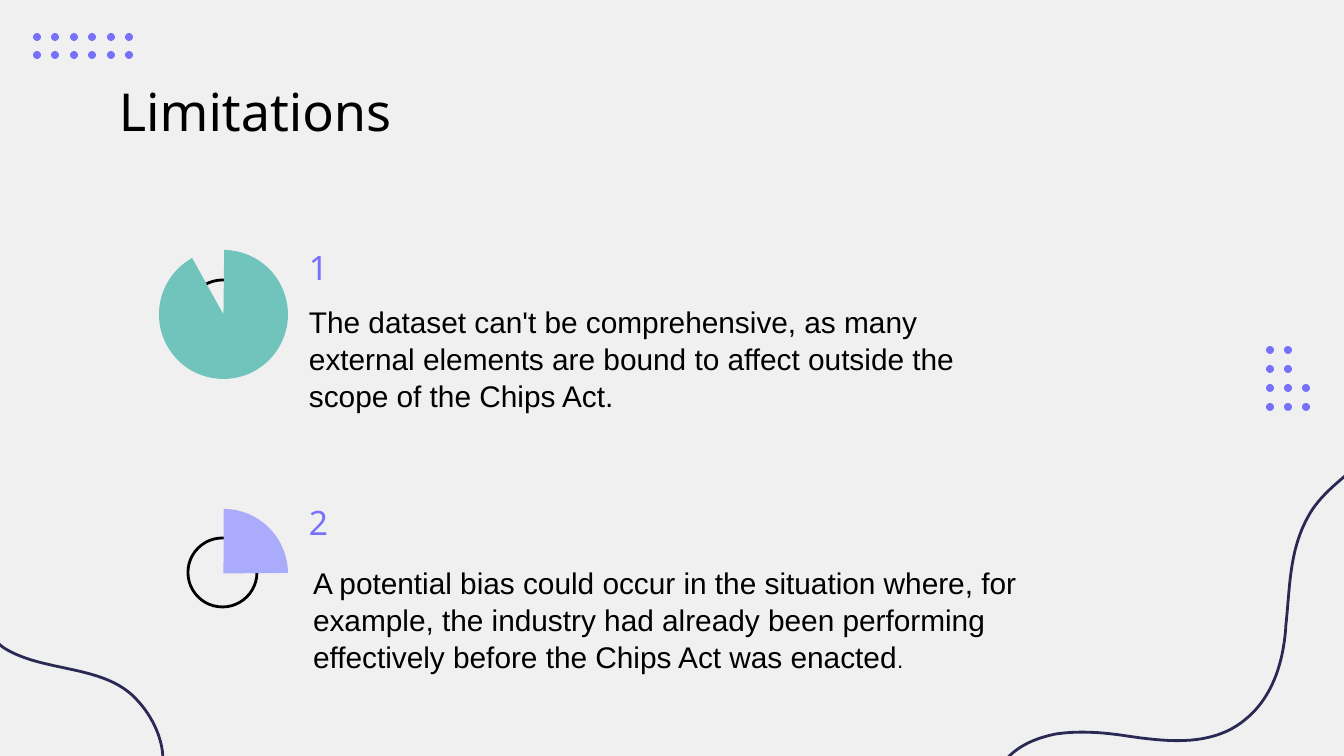
from dataclasses import dataclass

from pptx import Presentation
from pptx.dml.color import RGBColor as RGB
from pptx.enum.shapes import MSO_SHAPE as Shape
from pptx.enum.text import MSO_ANCHOR as Anchor
from pptx.util import Pt

PX = 9144000 / 1344  # EMU per px


@dataclass(frozen=True)
class Theme:
    background: RGB = RGB.from_string("F0F0F0")
    ink: RGB = RGB.from_string("000000")
    accent: RGB = RGB.from_string("7770FA")
    lilac: RGB = RGB.from_string("ABABFB")
    teal: RGB = RGB.from_string("70C4BC")
    wave: RGB = RGB.from_string("292953")
    heading_font: str = "Noto Sans"
    body_font: str = "Arial"
    title_size: Pt = Pt(28)
    number_size: Pt = Pt(18)
    body_size: Pt = Pt(16)
    stop_size: Pt = Pt(12)
    stroke: Pt = Pt(1.5)


theme = Theme()
presentation = Presentation()
presentation.slide_width = round(1344 * PX)
presentation.slide_height = round(756 * PX)
slide = presentation.slides.add_slide(presentation.slide_layouts[6])
slide.background.fill.solid()
slide.background.fill.fore_color.rgb = theme.background


def add_round(kind, left, top, size, fill=None):
    """Add a filled round shape, or an outlined one when no fill is given."""
    shape = slide.shapes.add_shape(kind, *(round(v * PX) for v in (left, top, size, size)))
    shape.shadow.inherit = False
    if fill is None:
        shape.fill.background()
        shape.line.color.rgb = theme.ink
        shape.line.width = theme.stroke
    else:
        shape.fill.solid()
        shape.fill.fore_color.rgb = fill
        shape.line.fill.background()
    return shape


def add_text(text, box, font_name, size, color, anchor=Anchor.TOP):
    """Add a wrapped one-paragraph text box and return its paragraph."""
    frame = slide.shapes.add_textbox(*(round(v * PX) for v in box)).text_frame
    frame.word_wrap = True
    frame.vertical_anchor = anchor
    frame.margin_left = frame.margin_right = round(13 * PX)
    frame.margin_top = frame.margin_bottom = round(13 * PX)
    paragraph = frame.paragraphs[0]
    paragraph.add_run().text = text
    paragraph.font.name = font_name
    paragraph.font.size = size
    paragraph.font.color.rgb = color
    return paragraph


# Wavy corner lines: a start point, then three points per cubic curve
waves = [
    [(1005, 761), (1017, 746), (1036, 738), (1056, 734),
     (1077, 731), (1098, 732), (1120, 735),
     (1161, 741), (1211, 749), (1246, 719),
     (1274, 696), (1284, 659), (1286, 625),
     (1290, 589), (1289, 551), (1308, 517),
     (1325, 485), (1361, 469), (1383, 439)],
    [(-16, 558), (-28, 586), (-22, 630), (4, 648),
     (44, 673), (105, 664), (137, 700),
     (155, 719), (168, 749), (161, 774),
     (155, 797), (138, 816), (125, 835)],
]
STEPS = 24
for points in waves:
    vertices = []
    for first in range(0, len(points) - 1, 3):
        curve = points[first:first + 4]
        for step in range(1, STEPS + 1):
            t = step / STEPS
            weights = ((1 - t) ** 3, 3 * t * (1 - t) ** 2, 3 * t ** 2 * (1 - t), t ** 3)
            vertices.append(tuple(
                sum(w * point[axis] for w, point in zip(weights, curve)) * PX
                for axis in (0, 1)))
    builder = slide.shapes.build_freeform(*(v * PX for v in points[0]))
    builder.add_line_segments(vertices, close=False)
    wave = builder.convert_to_shape()
    wave.shadow.inherit = False
    wave.fill.background()
    wave.line.color.rgb = theme.wave
    wave.line.width = theme.stroke

# Dot grids: left, top, column and row steps, dots in each row
for left, top, column_step, row_step, row_counts in [
    (1266, 346, 18, 19, (2, 2, 3, 3)),
    (33, 33, 18.4, 18, (6, 6)),
]:
    for row, count in enumerate(row_counts):
        for column in range(count):
            add_round(Shape.OVAL, round(left + column * column_step),
                      top + row * row_step, 8, theme.accent)

# Title
add_text("Limitations", (106, 66, 1133, 85),
         theme.heading_font, theme.title_size, theme.ink)

# Numbered limitations: pie over a ring, number, text
items = [
    ("1", 241, 280, 250, (270.68, 241.03), theme.teal, (296, 290, 734, 188),
     "The dataset can't be comprehensive, as many external elements are bound "
     "to affect outside the scope of the Chips Act."),
    ("2", 496, 538, 509, (270.25, 359.6), theme.lilac, (300, 551, 749, 129),
     "A potential bias could occur in the situation where, for example, the industry "
     "had already been performing effectively before the Chips Act was enacted"),
]
for number, number_top, ring_top, pie_top, angles, color, box, text in items:
    add_round(Shape.OVAL, 188, ring_top, 69)
    pie = add_round(Shape.PIE, 159, pie_top, 129, color)
    for index, angle in enumerate(angles):
        pie.adjustments[index] = angle * 0.6  # 60000ths of a degree, over 100000
    add_text(number, (296, number_top, 320, 59), theme.heading_font,
             theme.number_size, theme.accent, Anchor.BOTTOM)
    body = add_text(text, box, theme.body_font, theme.body_size, theme.ink)
    body.line_spacing = 1.03

# The last full stop is smaller
full_stop = body.add_run()
full_stop.text = "."
full_stop.font.size = theme.stop_size

presentation.save("out.pptx")
